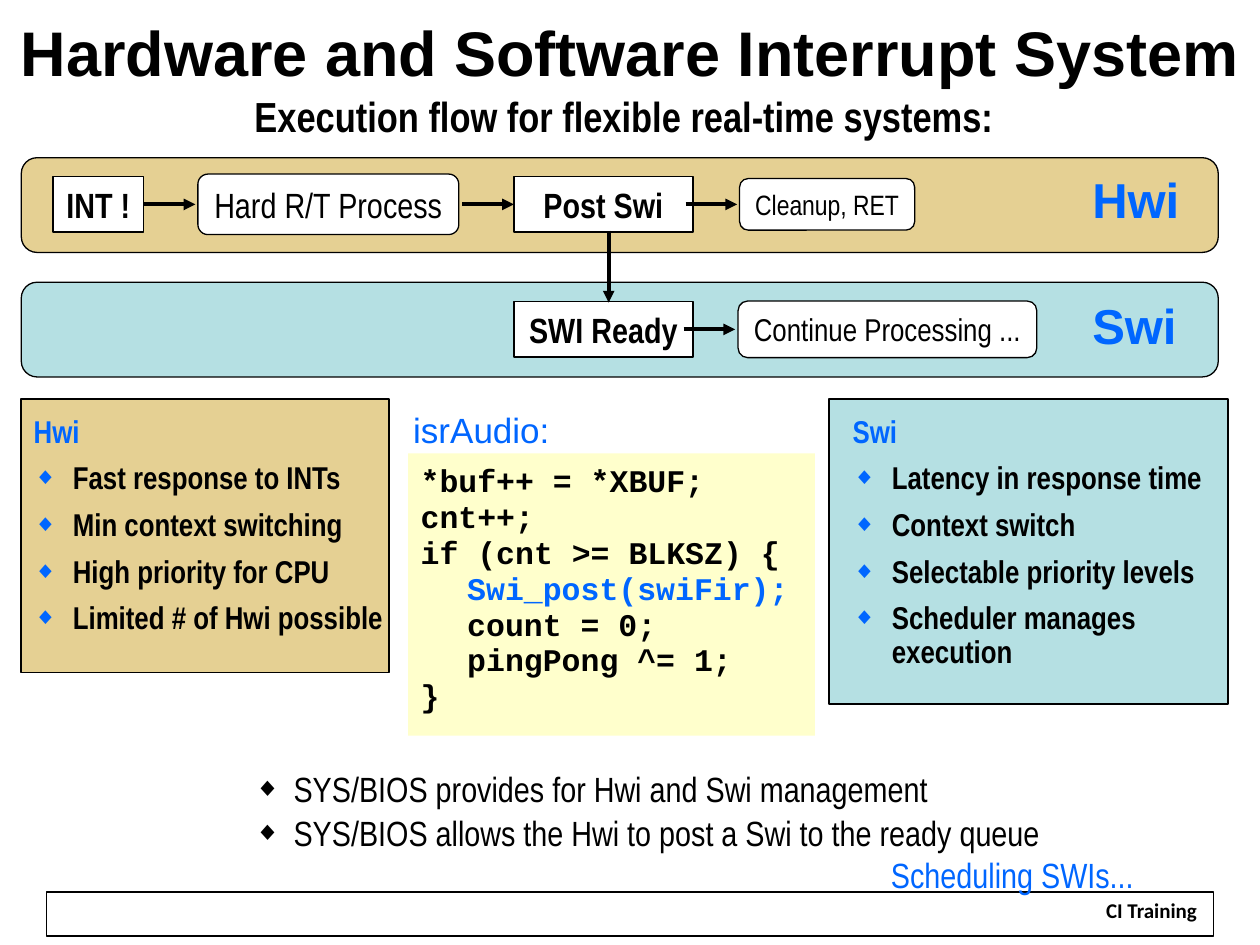
from lxml.etree import SubElement
from pptx import Presentation
from pptx.dml.color import RGBColor
from pptx.enum.shapes import MSO_CONNECTOR, MSO_SHAPE
from pptx.enum.text import MSO_ANCHOR, PP_ALIGN
from pptx.oxml.ns import qn
from pptx.util import Cm, Pt

BLACK = RGBColor(0x00, 0x00, 0x00)
WHITE = RGBColor(0xFF, 0xFF, 0xFF)
BLUE = RGBColor(0x00, 0x66, 0xFF)
TAN = RGBColor(0xE5, 0xD0, 0x93)
TEAL = RGBColor(0xB5, 0xE0, 0xE3)
CREAM = RGBColor(0xFF, 0xFF, 0xCC)

RECT = MSO_SHAPE.RECTANGLE
PROCESS = MSO_SHAPE.FLOWCHART_PROCESS
ROUNDED = MSO_SHAPE.FLOWCHART_ALTERNATE_PROCESS
LEFT, CENTER, RIGHT = PP_ALIGN.LEFT, PP_ALIGN.CENTER, PP_ALIGN.RIGHT
TOP, MIDDLE, BOTTOM = MSO_ANCHOR.TOP, MSO_ANCHOR.MIDDLE, MSO_ANCHOR.BOTTOM


class SlideBuilder:
    narrow, sans, mono, label = "Arial Narrow", "Arial", "Courier New", "Calibri"
    indent = Cm(0.79)

    def __init__(self, slide):
        self.s = slide

    def fill_text(self, tf, lines, size, font=None, color=BLACK, bold=False, align=LEFT,
                  anchor=TOP, wrap=False, spacing=None, before=0):
        tf.word_wrap = wrap
        tf.vertical_anchor = anchor
        tf.text = "\n".join(lines)
        for i, p in enumerate(tf.paragraphs):
            p.alignment = align
            if spacing:
                p.line_spacing = spacing
            p.space_before = Pt(before if i else 0)
            for r in p.runs:
                r.font.name = font or self.narrow
                r.font.size = Pt(size)
                r.font.bold = bold
                r.font.color.rgb = color

    def text(self, box, lines, size, **style):
        tf = self.s.shapes.add_textbox(*map(Cm, box)).text_frame
        self.fill_text(tf, lines, size, **style)
        return tf

    def shape(self, kind, box, fill=None, line=0.75):
        sp = self.s.shapes.add_shape(kind, *map(Cm, box))
        sp.shadow.inherit = False
        if fill is None:
            sp.fill.background()
        else:
            sp.fill.solid()
            sp.fill.fore_color.rgb = fill
        if line:
            sp.line.color.rgb = BLACK
            sp.line.width = Pt(line)
        else:
            sp.line.fill.background()
        return sp

    def node(self, text, kind, x, center_y, w, h, size=20):
        sp = self.shape(kind, (x, center_y - h / 2, w, h), WHITE)
        self.fill_text(sp.text_frame, [text], size, bold=kind == PROCESS,
                       align=CENTER, anchor=MIDDLE)

    def arrow(self, x1, y1, x2, y2):
        c = self.s.shapes.add_connector(MSO_CONNECTOR.STRAIGHT, *map(Cm, (x1, y1, x2, y2)))
        c.line.color.rgb = BLACK
        c.line.width = Pt(2.25)
        spPr = c._element.spPr
        SubElement(spPr.find(qn("a:ln")), qn("a:tailEnd"), type="triangle")
        SubElement(spPr, qn("a:effectLst"))

    def bullet(self, p, color):
        pPr = p._p.get_or_add_pPr()
        pPr.set("marL", str(self.indent))
        pPr.set("indent", str(-self.indent))
        clr = SubElement(pPr, qn("a:buClr"))
        SubElement(clr, qn("a:srgbClr"), val=str(color))
        SubElement(pPr, qn("a:buSzPct"), val="75000")
        SubElement(pPr, qn("a:buFont"), typeface=self.sans)
        SubElement(pPr, qn("a:buChar"), char="◆")

    def feature_list(self, box, heading, items):
        tf = self.text(box, [heading, *items], 18, bold=True, wrap=True,
                       spacing=0.9, before=7.2)
        head, *rest = tf.paragraphs
        head.runs[0].font.color.rgb = BLUE
        for p in rest:
            self.bullet(p, BLUE)

    def code(self, box, lines, highlight):
        sp = self.shape(RECT, box, CREAM, line=0)
        self.fill_text(sp.text_frame, lines, 18, font=self.mono, bold=True,
                       anchor=MIDDLE, spacing=0.5, before=9.7)
        for p in sp.text_frame.paragraphs:
            tabs = SubElement(p._p.get_or_add_pPr(), qn("a:tabLst"))
            SubElement(tabs, qn("a:tab"), pos=str(Cm(0.94)), algn="l")
            if highlight in p.text:
                p.runs[0].font.color.rgb = BLUE


def main():
    prs = Presentation()
    prs.slide_width, prs.slide_height = Cm(25.4), Cm(19.05)
    b = SlideBuilder(prs.slides.add_slide(prs.slide_layouts[6]))

    # Footer
    b.shape(RECT, (0.94, 17.98, 23.52, 0.89))
    footer = b.shape(RECT, (22.02, 18.06, 2.39, 0.76), WHITE, line=0)
    b.fill_text(footer.text_frame, ["CI Training"], 12, font=b.label, bold=True,
                align=CENTER, spacing=0.8)

    # Headings
    b.text((0, 0, 25.4, 2.06), ["Hardware and Software Interrupt System"], 36,
           font=b.sans, bold=True, align=CENTER, anchor=MIDDLE, wrap=True)
    b.text((4.88, 1.7, 16.31, 1.27), ["Execution flow for flexible real-time systems:"],
           24, bold=True, wrap=True)

    # Execution flow bands
    for name, y, label_y, color in (("Hwi", 3.18, 3.53, TAN), ("Swi", 5.69, 6.07, TEAL)):
        b.shape(ROUNDED, (0.43, y, 24.13, 1.91), color)
        b.text((21.77, label_y, 2.29, 1.22), [name], 28, font=b.sans, color=BLUE,
               bold=True, spacing=0.8)

    hwi_y, swi_y = 4.12, 6.64
    for node in (
        ("INT !", PROCESS, 1.07, hwi_y, 1.83, 1.12),
        ("Hard R/T Process", ROUNDED, 3.99, hwi_y, 5.26, 1.22),
        ("Post Swi", PROCESS, 10.36, hwi_y, 3.61, 1.12),
        ("Cleanup, RET", ROUNDED, 14.91, hwi_y, 3.53, 1.04, 16),
        ("SWI Ready", PROCESS, 10.36, swi_y, 3.61, 1.12),
        ("Continue Processing ...", ROUNDED, 14.88, swi_y, 6.02, 1.14, 18),
    ):
        b.node(*node)
    for x, y in ((2.9, hwi_y), (9.32, hwi_y), (13.82, hwi_y), (13.78, swi_y)):
        b.arrow(x, y, x + 1.04, y)
    b.arrow(12.27, 4.65, 12.27, 6.1)

    # Comparison panels
    b.shape(RECT, (0.43, 8.05, 7.42, 5.51), TAN, line=1)
    b.feature_list((0.43, 8.26, 7.62, 4.95), "Hwi", [
        "Fast response to INTs", "Min context switching",
        "High priority for CPU", "Limited # of Hwi possible"])
    b.shape(RECT, (16.71, 8.05, 8.05, 6.15), TEAL, line=1)
    b.feature_list((16.94, 8.26, 7.62, 5.64), "Swi", [
        "Latency in response time", "Context switch",
        "Selectable priority levels", "Scheduler manages execution"])

    # Interrupt routine
    b.text((8.08, 8.26, 3.28, 0.94), ["isrAudio:"], 20, font=b.sans, color=BLUE,
           anchor=MIDDLE, spacing=0.8)
    b.code((8.23, 9.14, 8.2, 5.69), [
        "*buf++ = *XBUF;",
        "cnt++;",
        "if (cnt >= BLKSZ) {",
        "\tSwi_post(swiFir);",
        "\tcount = 0;",
        "\tpingPong ^= 1;",
        "}",
    ], highlight="Swi_post")

    # Summary
    tf = b.text((4.88, 15.44, 17.35, 2.36), [
        "SYS/BIOS provides for Hwi and Swi management",
        "SYS/BIOS allows the Hwi to post a Swi to the ready queue",
    ], 20, wrap=True, spacing=0.9, before=3.5)
    for p in tf.paragraphs:
        b.bullet(p, BLACK)
    tf = b.text((17.93, 17.35, 4.93, 0.69), ["Scheduling SWIs..."], 20, color=BLUE,
                align=RIGHT, anchor=BOTTOM, spacing=0.8)
    tf.margin_left = tf.margin_right = tf.margin_top = tf.margin_bottom = 0

    prs.save("out.pptx")


if __name__ == "__main__":
    main()
